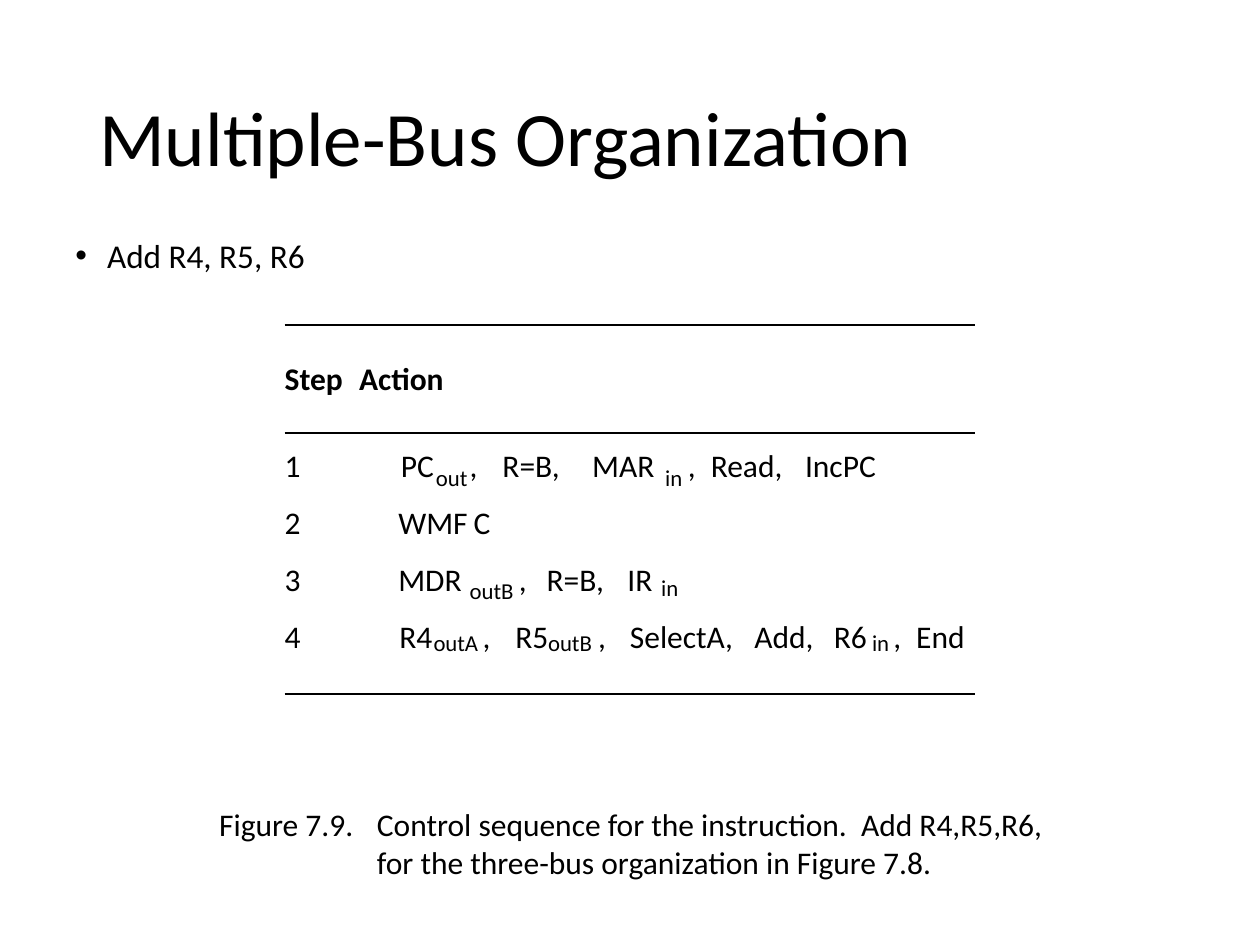
import pptx
import pptx.util
import pptx.dml.color
import pptx.enum.shapes
import pptx.enum.text
import pptx.oxml.ns
import lxml.etree

Cm = pptx.util.Cm
Pt = pptx.util.Pt
BLACK = pptx.dml.color.RGBColor(0, 0, 0)
FONT = "Calibri"

# Width of each word of the control sequence, in cm
WIDTHS = {
    "Step": 1.4, "Action": 2.06, "1": 0.36, "2": 0.36, "3": 0.36, "4": 0.36,
    "PC": 0.79, "out": 0.74, ",": 0.18, "R=B,": 1.35, "MAR": 1.37, "in": 0.41,
    "Read,": 1.68, "IncPC": 1.7, "WMF": 1.5, "C": 0.41, "MDR": 1.45,
    "outA": 1.02, "outB": 1.02, "IR": 0.61, "R4": 0.76, "R5": 0.76,
    "R6": 0.76, "SelectA,": 2.34, "Add,": 1.37, "End": 1.14,
}
# Each step: (left, word) or, for a subscript, (left, word, drop)
STEPS = [
    [(2.34, "PC"), (3.05, "out", 0.36), (3.73, ","), (4.39, "R=B,"),
     (6.2, "MAR"), (7.67, "in", 0.36), (8.13, ","), (8.59, "Read,"),
     (10.49, "IncPC")],
    [(2.29, "WMF"), (3.81, "C")],
    [(2.29, "MDR"), (3.73, "outB", 0.33), (4.72, ","), (5.28, "R=B,"),
     (6.91, "IR"), (7.59, "in", 0.28)],
    [(2.31, "R4"), (3, "outA", 0.23), (3.99, ","), (4.65, "R5"),
     (5.31, "outB", 0.23), (6.32, ","), (6.96, "SelectA,"), (9.47, "Add,"),
     (11.07, "R6"), (11.84, "in", 0.23), (12.27, ","), (12.73, "End")],
]


def add_box(slide, left, top, width, height, tight=False):
    """Add a text frame; a tight one has no insets and does not wrap."""
    box = slide.shapes.add_textbox(Cm(left), Cm(top), Cm(width), Cm(height))
    frame = box.text_frame
    frame.word_wrap = not tight
    if tight:
        frame.margin_left = frame.margin_right = 0
        frame.margin_top = frame.margin_bottom = 0
    return frame


def add_run(para, text, size, bold=False):
    run = para.add_run()
    run.text = text
    run.font.name = FONT
    run.font.size = Pt(size)
    run.font.bold = bold
    run.font.color.rgb = BLACK


def add_part(props, tag, **attrs):
    part = lxml.etree.SubElement(props, pptx.oxml.ns.qn(tag))
    for name, value in attrs.items():
        part.set(name, str(value))
    return part


def add_title(slide, left, top, width, height):
    frame = add_box(slide, left, top, width, height)
    frame.vertical_anchor = pptx.enum.text.MSO_ANCHOR.MIDDLE
    para = frame.paragraphs[0]
    para.line_spacing = 0.9
    add_run(para, "Multiple-Bus Organization", 44)


def add_bullet(slide, left, top, width, height):
    para = add_box(slide, left, top, width, height).paragraphs[0]
    props = para._p.get_or_add_pPr()
    indent = Cm(0.64)
    props.set("marL", str(indent))
    props.set("indent", str(-indent))
    add_part(props, "a:buFont", typeface="Arial")
    add_part(props, "a:buChar", char="•")
    para.line_spacing = 0.8
    add_run(para, "Add R4, R5, R6", 19)


def add_rule(slide, left, top, width):
    line = slide.shapes.add_connector(
        pptx.enum.shapes.MSO_CONNECTOR.STRAIGHT,
        Cm(left), Cm(top), Cm(left + width), Cm(top))
    line.line.color.rgb = BLACK
    line.line.width = Pt(0.75)
    add_part(line._element.spPr, "a:effectLst")


def add_word(slide, left, top, text, drop=0, bold=False):
    """Place one word; a drop makes it a small subscript."""
    size, height = (13, 0.56) if drop else (18, 0.76)
    frame = add_box(slide, left, top + drop, WIDTHS[text], height, True)
    add_run(frame.paragraphs[0], text, size, bold)


def add_steps(slide, left, top, width, height):
    """Draw the ruled list of steps and actions."""
    for drop in (0, 2.18, height):
        add_rule(slide, left, top + drop, width)
    for shift, text in ((0, "Step"), (1.5, "Action")):
        add_word(slide, left + shift, top + 0.69, text, bold=True)
    first, pitch = 2.44, 1.15
    for index, words in enumerate(STEPS):
        row = top + first + index * pitch
        add_word(slide, left, row, str(index + 1))
        for shift, *word in words:
            add_word(slide, left + shift, row, *word)


def add_caption(slide, left, top, width, height):
    frame = add_box(slide, left, top, width, height, True)
    lines = ("Figure 7.9.\tControl sequence for the instruction.  Add R4,R5,R6,",
             "\tfor the three-bus organization in Figure 7.8.")
    for index, text in enumerate(lines):
        para = frame.add_paragraph() if index else frame.paragraphs[0]
        tabs = add_part(para._p.get_or_add_pPr(), "a:tabLst")
        add_part(tabs, "a:tab", pos=Cm(3.18), algn="l")
        add_run(para, text, 18)


def main():
    deck = pptx.Presentation()
    deck.slide_width = Cm(25.4)
    deck.slide_height = Cm(19.05)
    slide = deck.slides.add_slide(deck.slide_layouts[6])
    add_title(slide, 1.75, 1.02, 21.92, 3.68)
    add_bullet(slide, 1.27, 4.78, 22.86, 0.94)
    add_steps(slide, 5.74, 6.55, 13.92, 7.44)
    add_caption(slide, 4.42, 16.23, 18.59, 1.52)
    deck.save("out.pptx")


if __name__ == "__main__":
    main()
